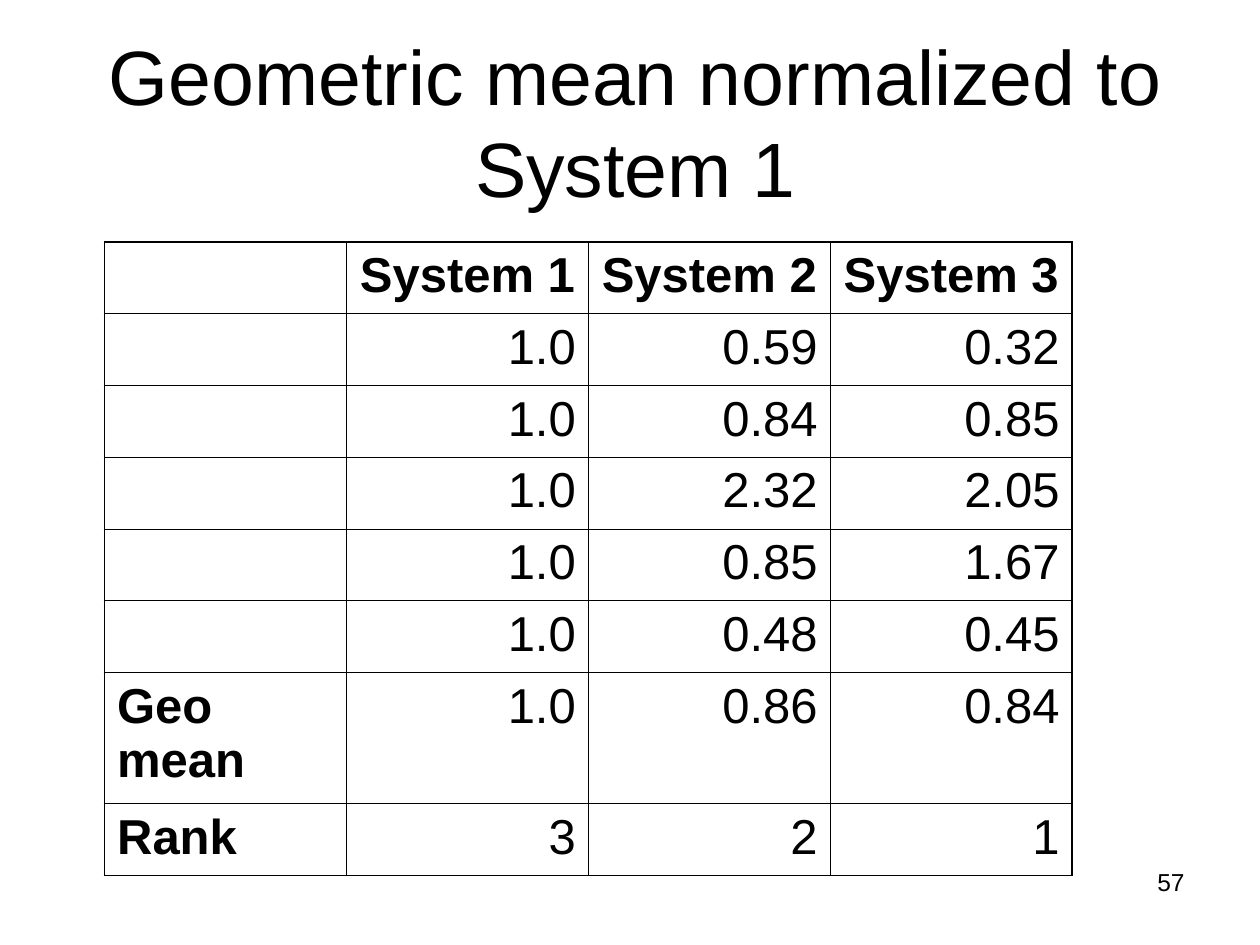
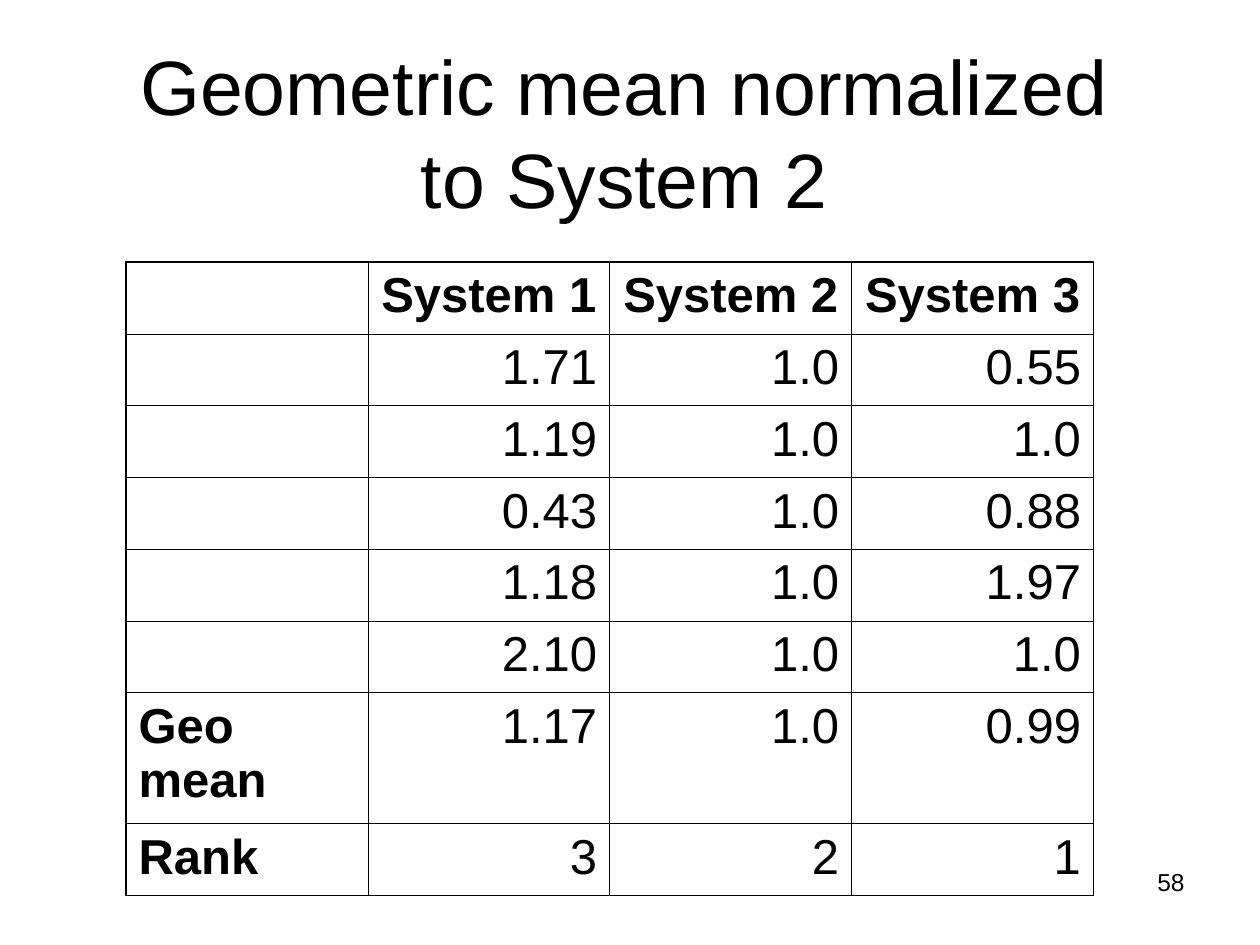
from lxml import etree
from pptx import Presentation
from pptx.dml.color import RGBColor
from pptx.enum.text import MSO_ANCHOR, PP_ALIGN
from pptx.oxml.ns import qn
from pptx.util import Inches, Pt

LEFT, CENTER, RIGHT = PP_ALIGN.LEFT, PP_ALIGN.CENTER, PP_ALIGN.RIGHT
TOP, MIDDLE = MSO_ANCHOR.TOP, MSO_ANCHOR.MIDDLE

COLORS = {"text": "000000", "border": "000000"}
FONT = "Arial"
TITLE_SIZE, TABLE_SIZE, NUMBER_SIZE = 44, 28, 14
INNER_BORDER, OUTER_BORDER = 0.45, 1.08
COLUMN_WIDTH = 1.92
ROW_HEIGHT, GEO_MEAN_HEIGHT = 0.57, 1.04

HEADER = ["", "System 1", "System 2", "System 3"]
RANK = ["Rank", "3", "2", "1"]
SLIDES = [
    {
        "title": "Geometric mean normalized to System 1",
        "title_box": (0.42, 0.25, 9.25, 1.42),
        "number": "57",
        "table_at": (0.83, 1.92),
        "ratios": [
            ["1.0", "0.59", "0.32"],
            ["1.0", "0.84", "0.85"],
            ["1.0", "2.32", "2.05"],
            ["1.0", "0.85", "1.67"],
            ["1.0", "0.48", "0.45"],
        ],
        "geo_mean": ["1.0", "0.86", "0.84"],
    },
    {
        "title": "Geometric mean normalized to System 2",
        "title_box": (0.83, 0.33, 8.25, 1.42),
        "number": "58",
        "table_at": (1, 2.08),
        "ratios": [
            ["1.71", "1.0", "0.55"],
            ["1.19", "1.0", "1.0"],
            ["0.43", "1.0", "0.88"],
            ["1.18", "1.0", "1.97"],
            ["2.10", "1.0", "1.0"],
        ],
        "geo_mean": ["1.17", "1.0", "0.99"],
    },
]


def set_text(tf, text, size, align, bold=False):
    p = tf.paragraphs[0]
    p.text = text
    p.alignment = align
    p.font.size = Pt(size)
    for r in p.runs:
        r.font.name = FONT
        r.font.size = Pt(size)
        r.font.bold = bold
        r.font.color.rgb = RGBColor.from_string(COLORS["text"])


def add_text(s, box, text, size, align, anchor=TOP):
    tf = s.shapes.add_textbox(*map(Inches, box)).text_frame
    tf.word_wrap = True
    tf.vertical_anchor = anchor
    set_text(tf, text, size, align)


def set_borders(cell, widths):
    """Draw the cell's borders; widths are points for left, right, top, bottom."""
    tc_pr = cell._tc.get_or_add_tcPr()
    for side, width in zip("LRTB", widths):
        ln = etree.SubElement(tc_pr, qn(f"a:ln{side}"), w=str(Pt(width)))
        fill = etree.SubElement(ln, qn("a:solidFill"))
        etree.SubElement(fill, qn("a:srgbClr"), val=COLORS["border"])


def add_ratio_table(s, at, rows):
    """Add the table of ratios, with a heavier line around its outside."""
    last_row, last_col = len(rows) - 1, len(HEADER) - 1
    heights = [GEO_MEAN_HEIGHT if row[0] == "Geo mean" else ROW_HEIGHT for row in rows]
    size = (COLUMN_WIDTH * len(HEADER), sum(heights))
    table = s.shapes.add_table(len(rows), len(HEADER), *map(Inches, at + size)).table
    table.first_row = table.horz_banding = False
    for column in table.columns:
        column.width = Inches(COLUMN_WIDTH)
    for i, row in enumerate(rows):
        table.rows[i].height = Inches(heights[i])
        for j, text in enumerate(row):
            cell = table.cell(i, j)
            align = LEFT if j == 0 else CENTER if i == 0 else RIGHT
            set_text(cell.text_frame, text, TABLE_SIZE, align, bold=i == 0 or j == 0)
            on_edge = (j == 0, j == last_col, i == 0, i == last_row)
            set_borders(cell, [OUTER_BORDER if edge else INNER_BORDER for edge in on_edge])
            cell.fill.background()


def main():
    prs = Presentation()
    prs.slide_width, prs.slide_height = Inches(10), Inches(7.5)
    for content in SLIDES:
        s = prs.slides.add_slide(prs.slide_layouts[6])
        add_text(s, (7.17, 6.83, 2.33, 0.52), content["number"], NUMBER_SIZE, RIGHT)
        add_text(s, content["title_box"], content["title"], TITLE_SIZE, CENTER, MIDDLE)
        ratios = [["", *values] for values in content["ratios"]]
        geo_mean = ["Geo mean", *content["geo_mean"]]
        add_ratio_table(s, content["table_at"], [HEADER, *ratios, geo_mean, RANK])
    prs.save("out.pptx")


if __name__ == "__main__":
    main()
